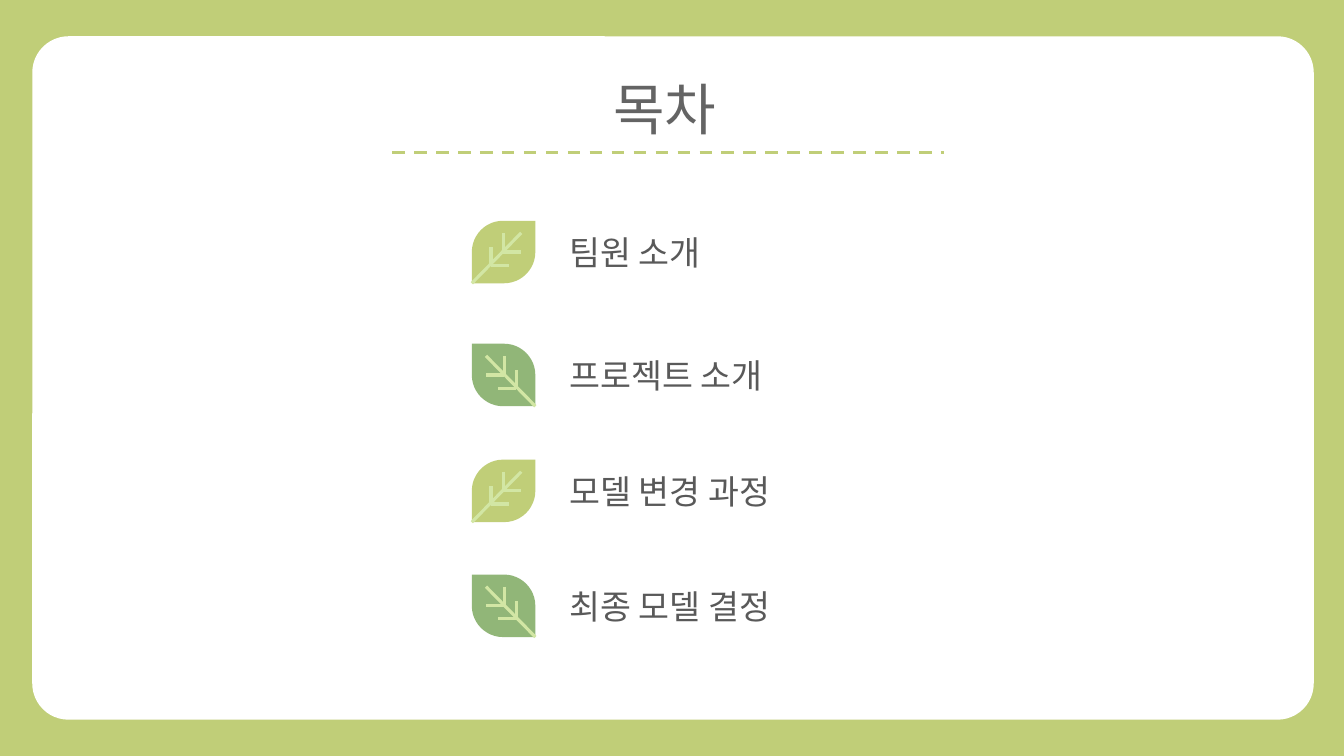
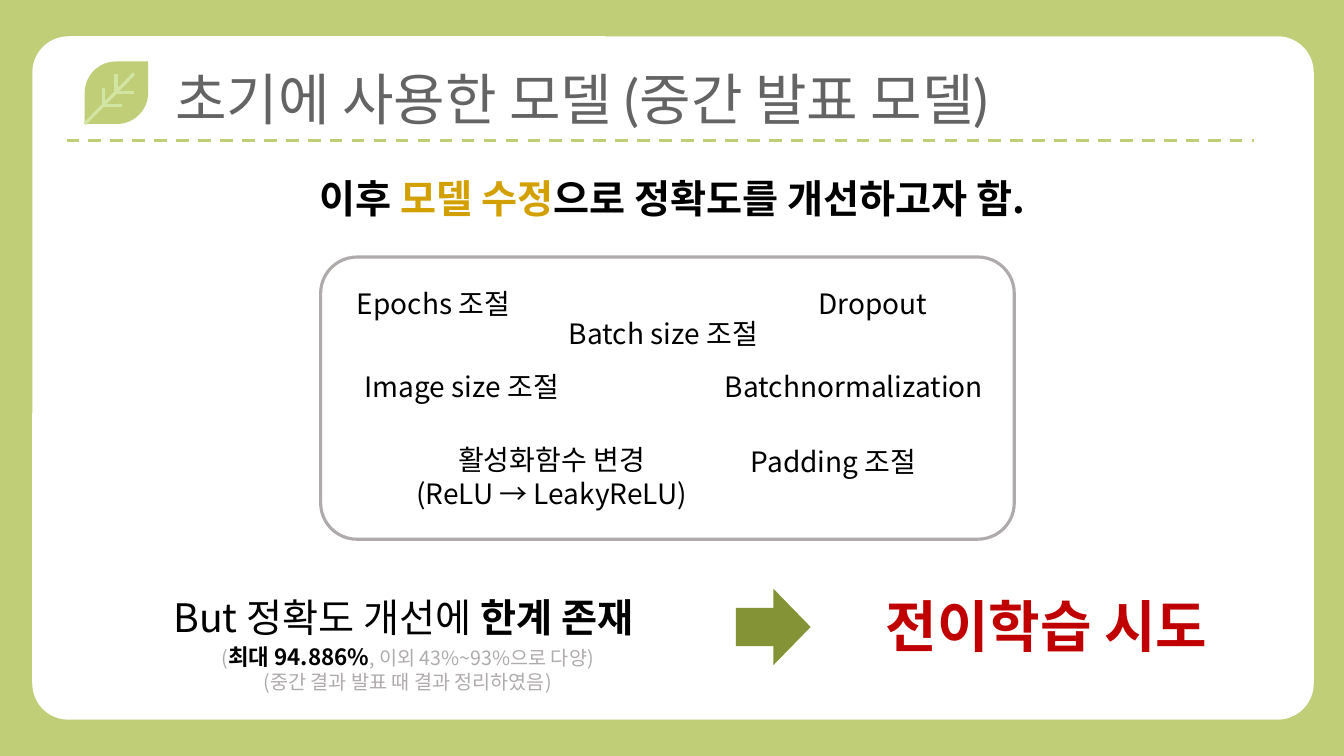
import pptx
import pptx.util
import pptx.dml.color
import pptx.enum.dml
import pptx.enum.shapes
import pptx.enum.text
import pptx.oxml
import pptx.oxml.ns

Inches = pptx.util.Inches
Pt = pptx.util.Pt
SHAPE = pptx.enum.shapes.MSO_SHAPE
ALIGN = pptx.enum.text.PP_ALIGN

COLORS = {
    "lime": "C0CE78", "green": "91B678", "vein": "D2E6A4", "olive": "839335",
    "white": "FFFFFF", "black": "000000", "title": "646464", "item": "595959",
    "gray": "AFABAB", "gold": "D2A000", "red": "C00000",
}
FONT = "Noto Sans CJK KR"
LEAF = (0.63, 0.62)
VEINS = [
    (0.49, 0.12, 0, 0.62),
    (0.31, 0.12, 0.31, 0.31), (0.31, 0.31, 0.49, 0.31),
    (0.19, 0.26, 0.19, 0.44), (0.19, 0.44, 0.37, 0.44),
]


def color(name):
    return pptx.dml.color.RGBColor.from_string(COLORS[name])


def write(frame, lines, size=20, ink="black", bold=False, font=FONT, align=ALIGN.CENTER):
    """Fill a frame; each line is a string or a list of (text, changes) runs."""
    frame.word_wrap = True
    frame.auto_size = pptx.enum.text.MSO_AUTO_SIZE.SHAPE_TO_FIT_TEXT
    frame.vertical_anchor = pptx.enum.text.MSO_ANCHOR.TOP
    for i, line in enumerate(lines):
        para = frame.add_paragraph() if i else frame.paragraphs[0]
        para.alignment = align
        for text, change in [(line, {})] if isinstance(line, str) else line:
            run = para.add_run()
            run.text = text
            look = {"size": size, "ink": ink, "bold": bold, **change}
            run.font.size = Pt(look["size"])
            run.font.bold = look["bold"]
            run.font.color.rgb = color(look["ink"])
            run.font.name = font
            east = pptx.oxml.parse_xml(
                f'<a:ea {pptx.oxml.ns.nsdecls("a")} typeface="{FONT}"/>')
            run.font._element.find(pptx.oxml.ns.qn("a:latin")).addnext(east)


class Deck:
    def __init__(self):
        self.file = pptx.Presentation()
        self.file.slide_width = Inches(13.33)
        self.file.slide_height = Inches(7.5)
        self.layout = self.file.slide_layouts[5]
        self.slide = None

    def frame(self):
        """Give the layout its lime border and white rounded panel."""
        fill = self.layout.background.fill
        fill.solid()
        fill.fore_color.rgb = color("lime")
        panel = self.shape(SHAPE.ROUNDED_RECTANGLE, 0.32, 0.36, 12.71, 6.78,
                           fill="white", adjust=[0.053])
        self.layout.shapes.element.insert(2, panel.element)

    def page(self, title, x, y, w, font=FONT):
        first = self.slide is None
        self.slide = self.file.slides.add_slide(self.layout)
        if first:
            self.frame()
        head = self.slide.shapes.title
        head.left, head.top, head.width, head.height = map(Inches, (x, y, w, 0.77))
        write(head.text_frame, [title], size=40, ink="title", font=font, align=ALIGN.LEFT)

    def shape(self, kind, x, y, w, h, fill=None, line=None, adjust=(), home=None):
        home = home or self.slide.shapes
        shape = home.add_shape(kind, *map(Inches, (x, y, w, h)))
        shape.shadow.inherit = False
        for i, value in enumerate(adjust):
            shape.adjustments[i] = value
        if fill:
            shape.fill.solid()
            shape.fill.fore_color.rgb = color(fill)
        else:
            shape.fill.background()
        if line:
            shape.line.color.rgb = color(line)
            shape.line.width = Pt(2.25)
        else:
            shape.line.fill.background()
        return shape

    def line(self, x1, y1, x2, y2, ink="lime", dash=False, home=None):
        home = home or self.slide.shapes
        line = home.add_connector(pptx.enum.shapes.MSO_CONNECTOR.STRAIGHT,
                                  *map(Inches, (x1, y1, x2, y2)))
        line.line.color.rgb = color(ink)
        line.line.width = Pt(2.25)
        if dash:
            line.line.dash_style = pptx.enum.dml.MSO_LINE.DASH
        line.element.spPr.append(pptx.oxml.parse_xml(
            f'<a:effectLst {pptx.oxml.ns.nsdecls("a")}/>'))

    def text(self, lines, x, y, w, h=0.44, **style):
        box = self.slide.shapes.add_textbox(*map(Inches, (x, y, w, h)))
        write(box.text_frame, lines, **style)

    def leaf(self, x, y, flip=False):
        """Draw a leaf pointing right, or a darker one mirrored to the left."""
        home = self.slide.shapes.add_group_shape().shapes
        self.shape(SHAPE.ROUND_2_DIAG_RECTANGLE, x, y, *LEAF, home=home,
                   fill="green" if flip else "lime",
                   adjust=(0, 0.5) if flip else (0.5, 0))
        for x1, y1, x2, y2 in VEINS:
            if flip:
                x1, x2 = LEAF[0] - x1, LEAF[0] - x2
            self.line(x + x1, y + y1, x + x2, y + y2, ink="vein", home=home)


def agenda(deck):
    deck.page("목차", 5.98, 0.69, 1.38)
    deck.line(3.89, 1.51, 9.36, 1.51, dash=True)
    items = [("팀원 소개", 2.19), ("프로젝트 소개", 3.41),
             ("모델 변경 과정", 4.56), ("최종 모델 결정", 5.7)]
    for i, (item, y) in enumerate(items):
        deck.leaf(4.68, y, flip=i % 2 == 1)
        deck.text([item], 5.55, y + 0.06, 3.6, 0.5,
                  size=24, ink="item", align=ALIGN.LEFT)


def model(deck):
    deck.page("초기에 사용한 모델 (중간 발표 모델)", 1.64, 0.59, 9.44, font="Lato")
    deck.line(0.66, 1.39, 12.44, 1.39, dash=True)
    deck.leaf(0.84, 0.61)
    deck.text([[("이후 ", {}), ("모델 수정", {"ink": "gold"}),
                ("으로 정확도를 개선하고자 함.", {})]],
              1.55, 1.68, 10.24, 0.57, size=28, bold=True)

    deck.shape(SHAPE.ROUNDED_RECTANGLE, 3.18, 2.55, 6.88, 2.8,
               line="gray", adjust=[0.129])
    ideas = [
        (["Epochs 조절"], 2.3, 2.79), (["Batch size 조절"], 4.58, 3.09),
        (["Dropout"], 6.66, 2.79), (["Image size 조절"], 2.58, 3.62),
        (["Batchnormalization"], 6.47, 3.62), (["Padding 조절"], 6.27, 4.36),
        (["활성화함수 변경", "(ReLU → LeakyReLU)"], 3.47, 4.34),
    ]
    for lines, x, y in ideas:
        deck.text(lines, x, y, 4, 0.1 + 0.34 * len(lines))

    deck.text([[("But 정확도 개선에 ", {}), ("한계 존재", {"bold": True})]],
              1.21, 5.84, 5.58, 0.57, size=28)
    deck.text([[("(", {}),
                ("최대 94.886%", {"size": 16, "ink": "black", "bold": True}),
                (", 이외 43%~93%으로 다양)", {})],
               "(중간 결과 발표 때 결과 정리하였음)"],
              0.71, 6.33, 6.67, 0.61, size=14, ink="gray")
    deck.shape(SHAPE.RIGHT_ARROW, 7.3, 5.84, 0.74, 0.76, fill="olive")
    deck.text(["전이학습 시도"], 8.25, 5.82, 4.26, 0.77, size=40, ink="red", bold=True)


def main():
    deck = Deck()
    agenda(deck)
    model(deck)
    deck.file.save("out.pptx")


if __name__ == "__main__":
    main()
